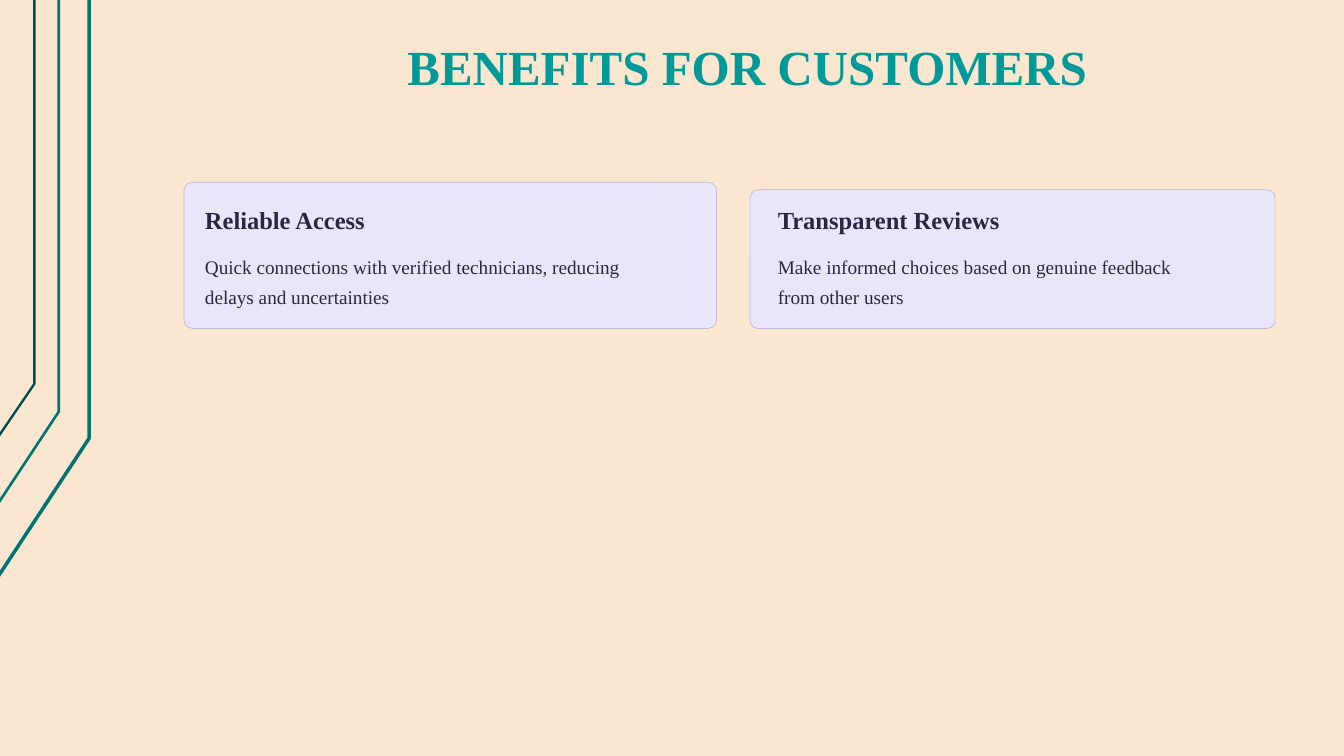
import pptx
import pptx.util
import pptx.dml.color
import pptx.enum.shapes
import pptx.enum.text
import lxml.etree

Inches, Pt = pptx.util.Inches, pptx.util.Pt
RGBColor = pptx.dml.color.RGBColor

SAND = RGBColor(0xFB, 0xE7, 0xD0)
TEAL = RGBColor(0x00, 0x73, 0x73)
DARK_TEAL = RGBColor(0x00, 0x4D, 0x4D)
TITLE_TEAL = RGBColor(0x00, 0x99, 0x99)
LILAC = RGBColor(0xE9, 0xE6, 0xFA)
LILAC_EDGE = RGBColor(0xBD, 0xB8, 0xDF)
INK = RGBColor(0x2A, 0x27, 0x42)

FONT = "Times New Roman"
CARD_BOTTOM = 3.91
HEADING_TOP, DETAIL_TOP = 2.43, 2.94

# Bend x, bend y, lower end y, colour, width in points
BENT_LINES = [
    (1.06, 5.22, 6.86, TEAL, 3),
    (0.7, 4.9, 5.99, TEAL, 2.25),
    (0.41, 4.57, 5.2, DARK_TEAL, 2),
]

# Card left, top, width; text left, detail width; heading, detail
CARDS = [
    (2.19, 2.17, 6.34, 2.44, 5.05, "Reliable Access",
     "Quick connections with verified technicians, reducing delays and uncertainties"),
    (8.93, 2.26, 6.25, 9.26, 4.75, "Transparent Reviews",
     "Make informed choices based on genuine feedback from other users"),
]


def add_bent_line(s, x, bend_y, end_y, color, width):
    fb = s.shapes.build_freeform(Inches(-0.02), Inches(end_y))
    fb.add_line_segments([(Inches(x), Inches(bend_y)), (Inches(x), 0)], close=False)
    sp = fb.convert_to_shape()
    sp.shadow.inherit = False
    sp.fill.background()
    sp.line.color.rgb = color
    sp.line.width = Pt(width)


def add_card(s, left, top, width):
    sp = s.shapes.add_shape(
        pptx.enum.shapes.MSO_SHAPE.ROUNDED_RECTANGLE,
        Inches(left), Inches(top), Inches(width), Inches(CARD_BOTTOM - top))
    sp.adjustments[0] = 0.057
    sp.shadow.inherit = False
    sp.fill.solid()
    sp.fill.fore_color.rgb = LILAC
    sp.line.color.rgb = LILAC_EDGE
    sp.line.width = Pt(0.6)


def fill_placeholder(s, idx, text, box, size, leading, color=INK, bold=False):
    sp = next(ph for ph in s.placeholders if ph.placeholder_format.idx == idx)
    sp.left, sp.top, sp.width, sp.height = [Inches(v) for v in box]
    s.shapes.element.append(sp.element)  # bring in front of the cards
    tf = sp.text_frame
    tf.margin_left = tf.margin_right = tf.margin_top = tf.margin_bottom = 0
    tf.word_wrap = True
    tf.auto_size = pptx.enum.text.MSO_AUTO_SIZE.NONE
    tf.vertical_anchor = pptx.enum.text.MSO_ANCHOR.TOP
    p = tf.paragraphs[0]
    p.alignment = pptx.enum.text.PP_ALIGN.LEFT
    p.line_spacing = Pt(leading)
    p.space_before = Pt(0)
    # No bullet and no hanging indent
    pPr = p._p.get_or_add_pPr()
    pPr.set("marL", "0")
    pPr.set("indent", "0")
    lxml.etree.SubElement(pPr, pptx.oxml.ns.qn("a:buNone"))
    r = p.add_run()
    r.text = text
    r.font.name = FONT
    r.font.size = Pt(size)
    r.font.bold = bold
    r.font.color.rgb = color


def main():
    prs = pptx.Presentation()
    prs.slide_width, prs.slide_height = Inches(16), Inches(9)
    s = prs.slides.add_slide(prs.slide_layouts.get_by_name("Comparison"))
    s.background.fill.solid()
    s.background.fill.fore_color.rgb = SAND

    # Decoration on the left edge
    for bent_line in BENT_LINES:
        add_bent_line(s, *bent_line)

    # Title
    fill_placeholder(s, 0, "BENEFITS FOR CUSTOMERS", (4.85, 0.41, 8.5, 0.73),
                     42, 52.5, TITLE_TEAL, True)

    # Benefit cards, each with a heading and a detail placeholder
    for i, (left, top, width, text_left, detail_width, heading, detail) in enumerate(CARDS):
        add_card(s, left, top, width)
        fill_placeholder(s, 2 * i + 1, heading, (text_left, HEADING_TOP, 2.92, 0.37),
                         21, 26, bold=True)
        fill_placeholder(s, 2 * i + 2, detail, (text_left, DETAIL_TOP, detail_width, 0.75),
                         16.5, 26.5)

    prs.save("out.pptx")


if __name__ == "__main__":
    main()
